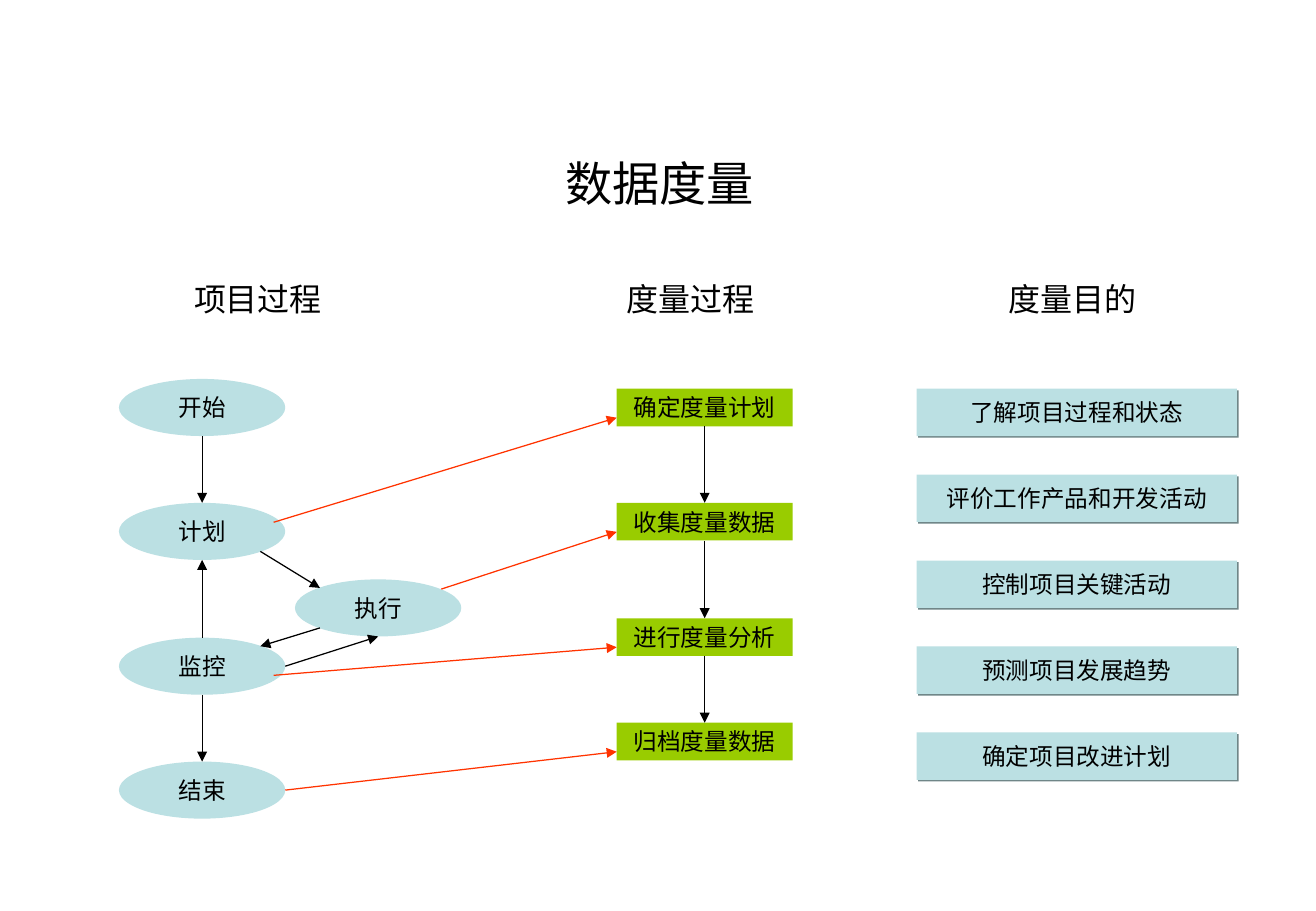
import pptx
import pptx.util
import pptx.dml.color
import pptx.enum.shapes
import pptx.enum.text
from dataclasses import dataclass
from itertools import pairwise
from lxml import etree
from pptx.oxml import parse_xml
from pptx.oxml.ns import nsdecls, qn
from pptx.util import Inches

SHAPE = pptx.enum.shapes.MSO_SHAPE
ALIGN = pptx.enum.text.PP_ALIGN
ANCHOR = pptx.enum.text.MSO_ANCHOR
AUTO_SIZE = pptx.enum.text.MSO_AUTO_SIZE


@dataclass(frozen=True)
class Theme:
    font: str = "Arial"
    ink: str = "000000"
    pale: str = "BBE0E3"
    green: str = "99CC00"
    red: str = "FF3300"
    shadow: str = "708688"
    title: int = 28
    heading: int = 19
    label: int = 14
    line: float = 0.75


THEME = Theme()

# Points on a shape, as fractions of its width and height
TOP, BOTTOM, RIGHT = (0.5, 0), (0.5, 1), (1, 0.5)
UPPER_LEFT, UPPER_RIGHT = (0.15, 0.15), (0.85, 0.15)
LOWER_LEFT, LOWER_RIGHT = (0.15, 0.85), (0.85, 0.85)
MEASURE_ENTRY = (0, 0.77)


def rgb(value):
    return pptx.dml.color.RGBColor.from_string(value)


def write(shape, text, size, align=ALIGN.CENTER, **frame_format):
    frame = shape.text_frame
    for name, value in frame_format.items():
        setattr(frame, name, value)
    para = frame.paragraphs[0]
    para.alignment = align
    span = para.add_run()
    span.text = text
    formats = {"name": THEME.font, "size": pptx.util.Pt(size)}
    for name, value in formats.items():
        setattr(span.font, name, value)
    span.font.color.rgb = rgb(THEME.ink)
    return span


def hard_shadow(color):
    return parse_xml(
        f'<a:effectLst {nsdecls("a")}>'
        '<a:outerShdw dist="17961" dir="2700000" algn="ctr" rotWithShape="0">'
        f'<a:srgbClr val="{color}"/></a:outerShdw></a:effectLst>')


def add_node(page, kind, box, text, fill, shadowed=False):
    node = page.shapes.add_shape(kind, *map(Inches, box))
    node.fill.solid()
    node.fill.fore_color.rgb = rgb(fill)
    node.line.fill.background()
    if shadowed:
        node._element.spPr.append(hard_shadow(THEME.shadow))
    else:
        node.shadow.inherit = False
    write(node, text, THEME.label, word_wrap=False,
          vertical_anchor=ANCHOR.MIDDLE)
    return node


def point_on(shape, fraction):
    across, down = fraction
    return (int(shape.left + across * shape.width),
            int(shape.top + down * shape.height))


def add_arrow(page, start, start_point, end, end_point, color):
    arrow = page.shapes.add_connector(
        pptx.enum.shapes.MSO_CONNECTOR.STRAIGHT,
        *point_on(start, start_point), *point_on(end, end_point))
    arrow.line.color.rgb = rgb(color)
    arrow.line.width = pptx.util.Pt(THEME.line)
    etree.SubElement(arrow.line._get_or_add_ln(), qn("a:tailEnd"),
                     type="triangle")
    etree.SubElement(arrow._element.spPr, qn("a:effectLst"))


def place_title(page, box, text):
    title = page.shapes.title
    for name, value in zip(("left", "top", "width", "height"), box):
        setattr(title, name, Inches(value))
    write(title, text, THEME.title, word_wrap=True,
          vertical_anchor=ANCHOR.MIDDLE, auto_size=AUTO_SIZE.NONE)


def add_heading(page, box, text):
    heading = page.shapes.add_textbox(*map(Inches, box))
    span = write(heading, text, THEME.heading, ALIGN.LEFT, word_wrap=False,
                 auto_size=AUTO_SIZE.SHAPE_TO_FIT_TEXT)
    fill = span._r.rPr.find(qn("a:solidFill"))
    fill.addnext(hard_shadow(THEME.shadow))


def add_goals(page, box, goals):
    """Stack the goals at equal gaps over the height of the box."""
    left, top, width, height = box
    row = 0.39
    pitch = (height - row) / (len(goals) - 1)
    for index, goal in enumerate(goals):
        add_node(page, SHAPE.RECTANGLE,
                 (left, top + index * pitch, width, row),
                 goal, THEME.pale, shadowed=True)


def add_measure_process(page, box):
    left, top, width, height = box
    row = 0.31
    steps = {"确定度量计划": 0, "收集度量数据": 0.94,
             "进行度量分析": 1.89, "归档度量数据": height - row}
    nodes = [add_node(page, SHAPE.RECTANGLE, (left, top + down, width, row),
                      text, THEME.green) for text, down in steps.items()]
    for upper, lower in pairwise(nodes):
        add_arrow(page, upper, BOTTOM, lower, TOP, THEME.ink)
    return nodes


def add_project_process(page, box):
    left, top, width, height = box
    oval_width, oval_height = 1.37, 0.47
    places = {"开始": (0, 0), "计划": (0, 1.02), "监控": (0, 2.13),
              "执行": (width - oval_width, 1.65),
              "结束": (0, height - oval_height)}
    nodes = {text: add_node(page, SHAPE.OVAL,
                            (left + across, top + down,
                             oval_width, oval_height), text, THEME.pale)
             for text, (across, down) in places.items()}
    flows = [("开始", BOTTOM, "计划", TOP),
             ("计划", LOWER_RIGHT, "执行", UPPER_LEFT),
             ("执行", LOWER_LEFT, "监控", UPPER_RIGHT),
             ("监控", RIGHT, "执行", BOTTOM),
             ("监控", TOP, "计划", BOTTOM),
             ("监控", BOTTOM, "结束", TOP)]
    for start, start_point, end, end_point in flows:
        add_arrow(page, nodes[start], start_point, nodes[end], end_point,
                  THEME.ink)
    return nodes


def link_processes(page, stages, steps):
    exits = {"计划": (0.93, 0.34), "执行": (0.88, 0.17),
             "监控": (0.93, 0.66), "结束": RIGHT}
    for (stage, exit_point), step in zip(exits.items(), steps):
        add_arrow(page, stages[stage], exit_point, step, MEASURE_ENTRY,
                  THEME.red)


def main():
    deck = pptx.Presentation()
    deck.slide_width, deck.slide_height = Inches(10.84), Inches(7.5)
    page = deck.slides.add_slide(deck.slide_layouts.get_by_name("Title Only"))
    place_title(page, (0.56, 1.23, 9.75, 0.55), "数据度量")
    headings = {"项目过程": 1.5, "度量过程": 5.06, "度量目的": 8.21}
    for text, left in headings.items():
        add_heading(page, (left, 2.25, 1.25, 0.42), text)
    add_goals(page, (7.55, 3.2, 2.64, 3.22),
              ["了解项目过程和状态", "评价工作产品和开发活动",
               "控制项目关键活动", "预测项目发展趋势", "确定项目改进计划"])
    steps = add_measure_process(page, (5.08, 3.2, 1.45, 3.06))
    stages = add_project_process(page, (0.98, 3.12, 2.82, 3.62))
    link_processes(page, stages, steps)
    deck.save("out.pptx")


if __name__ == "__main__":
    main()
